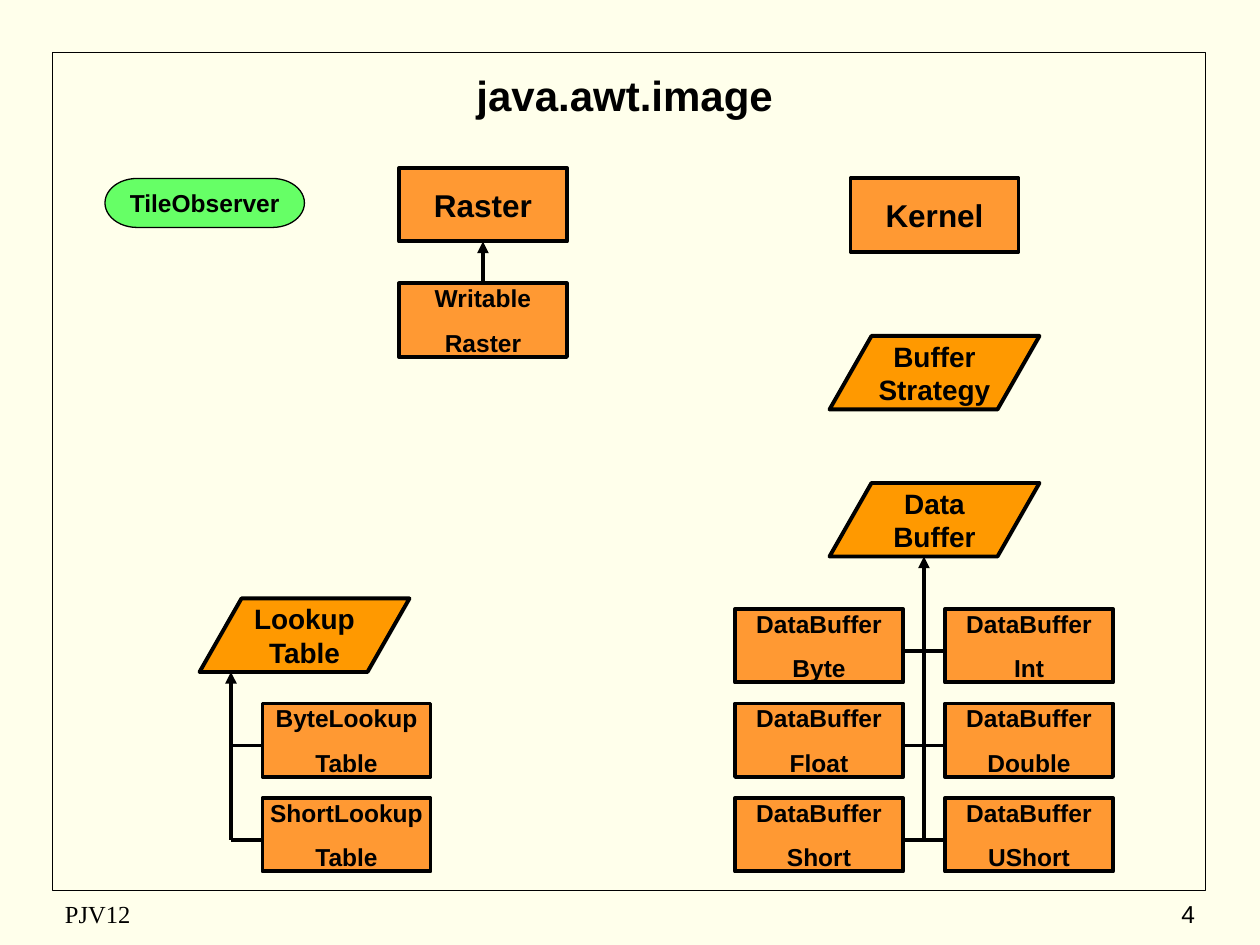
from lxml.etree import SubElement
from pptx import Presentation
from pptx.dml.color import RGBColor
from pptx.enum.shapes import MSO_CONNECTOR, MSO_SHAPE
from pptx.enum.text import MSO_ANCHOR, PP_ALIGN
from pptx.oxml.ns import qn
from pptx.util import Pt

INK, PAPER = "000000", "FFFFEB"
CLASS_FILL, ABSTRACT_FILL, INTERFACE_FILL = "FF9933", "FF9900", "66FF66"
BOX_WIDTH, BOX_HEIGHT = 96, 42
ROW_TOPS = (348, 402, 456)


def color(code):
    """Turn a hex string into a colour."""
    return RGBColor.from_string(code)


class ClassDiagram:
    """Draws the parts of a class diagram on one slide, in points."""

    def __init__(self, slide):
        """Keep the slide and paint its background."""
        self.slide = slide
        self.font_name = "Arial"
        self.line_width = 2.25
        slide.background.fill.solid()
        slide.background.fill.fore_color.rgb = color(PAPER)

    def add_lines(self, frame, lines, size, bold=True, align=PP_ALIGN.CENTER,
                  font_name=None, gap=0, wrap=False):
        """Fill a text frame with one paragraph per line."""
        frame.word_wrap = wrap
        frame.vertical_anchor = MSO_ANCHOR.MIDDLE
        for index, line in enumerate(lines):
            paragraph = frame.add_paragraph() if index else frame.paragraphs[0]
            paragraph.alignment = align
            if index:
                paragraph.space_before = Pt(gap)
            run = paragraph.add_run()
            run.text = line
            run.font.name = font_name or self.font_name
            run.font.size = Pt(size)
            run.font.bold = bold
            run.font.color.rgb = color(INK)

    def label(self, text, left, top, width, height, size, **style):
        """Add a line of free text."""
        box = self.slide.shapes.add_textbox(
            Pt(left), Pt(top), Pt(width), Pt(height))
        self.add_lines(box.text_frame, [text], size, wrap=True, **style)

    def outline(self, kind, left, top, width, height, fill=None, line=None):
        """Add a preset shape with a black outline."""
        shape = self.slide.shapes.add_shape(
            kind, Pt(left), Pt(top), Pt(width), Pt(height))
        shape.shadow.inherit = False
        if fill:
            shape.fill.solid()
            shape.fill.fore_color.rgb = color(fill)
        else:
            shape.fill.background()
        shape.line.color.rgb = color(INK)
        shape.line.width = Pt(line or self.line_width)
        return shape

    def concrete(self, lines, left, top, size=14):
        """Add the rectangle of a concrete class."""
        shape = self.outline(MSO_SHAPE.RECTANGLE, left, top,
                             BOX_WIDTH, BOX_HEIGHT, CLASS_FILL)
        self.add_lines(shape.text_frame, lines, size, gap=8.8)
        return shape

    def abstract(self, lines, left, top):
        """Add the parallelogram of an abstract class."""
        shape = self.outline(MSO_SHAPE.FLOWCHART_DATA, left, top,
                             120, BOX_HEIGHT, ABSTRACT_FILL)
        self.add_lines(shape.text_frame, lines, 16)

    def interface(self, text, left, top, width, height):
        """Add the rounded shape of an interface."""
        shape = self.outline(MSO_SHAPE.FLOWCHART_TERMINATOR, left, top,
                             width, height, INTERFACE_FILL, 0.75)
        self.add_lines(shape.text_frame, [text], 14)

    def link(self, x1, y1, x2, y2, arrow=False):
        """Add a straight line, with an arrowhead at its end if asked."""
        connector = self.slide.shapes.add_connector(
            MSO_CONNECTOR.STRAIGHT, Pt(x1), Pt(y1), Pt(x2), Pt(y2))
        connector.line.color.rgb = color(INK)
        connector.line.width = Pt(self.line_width)
        properties = connector.element.spPr
        if arrow:
            SubElement(properties.find(qn("a:ln")), qn("a:tailEnd"),
                       type="triangle")
        SubElement(properties, qn("a:effectLst"))
        return connector


def main():
    """Build and save the slide."""
    deck = Presentation()
    deck.slide_width, deck.slide_height = Pt(720), Pt(540)
    diagram = ClassDiagram(deck.slides.add_slide(deck.slide_layouts[6]))

    diagram.outline(MSO_SHAPE.RECTANGLE, 30, 30, 659, 479, line=1)
    diagram.label("PJV12", 30, 510, 228, 24, 14, bold=False,
                  align=PP_ALIGN.LEFT, font_name="Times New Roman")
    diagram.label("4", 540, 510, 150, 24, 14, bold=False,
                  align=PP_ALIGN.RIGHT)
    diagram.label("java.awt.image", 36, 36, 642, 36, 24)

    diagram.interface("TileObserver", 60, 102, 114, 28)
    raster = diagram.concrete(["Raster"], 228, 96, 18)
    writable_raster = diagram.concrete(["Writable", "Raster"], 228, 162)
    inheritance = diagram.link(276, 162, 276, 138, arrow=True)
    inheritance.begin_connect(writable_raster, 0)
    inheritance.end_connect(raster, 2)
    diagram.concrete(["Kernel"], 486, 102, 18)
    diagram.abstract(["Buffer", "Strategy"], 474, 192)

    diagram.abstract(["Data", "Buffer"], 474, 276)
    buffer_rows = (("Byte", "Int"), ("Float", "Double"), ("Short", "UShort"))
    for top, buffer_types in zip(ROW_TOPS, buffer_rows):
        for left, buffer_type in zip((420, 540), buffer_types):
            diagram.concrete(["DataBuffer", buffer_type], left, top)
        diagram.link(516, top + 24, 540, top + 24)
    diagram.link(528, 480, 528, 318, arrow=True)

    diagram.abstract(["Lookup", "Table"], 114, 342)
    for top, lookup in zip(ROW_TOPS[1:], ("ByteLookup", "ShortLookup")):
        diagram.concrete([lookup, "Table"], 150, top)
        diagram.link(132, top + 24, 150, top + 24)
    diagram.link(132, 480, 132, 384, arrow=True)

    deck.save("out.pptx")


if __name__ == "__main__":
    main()
